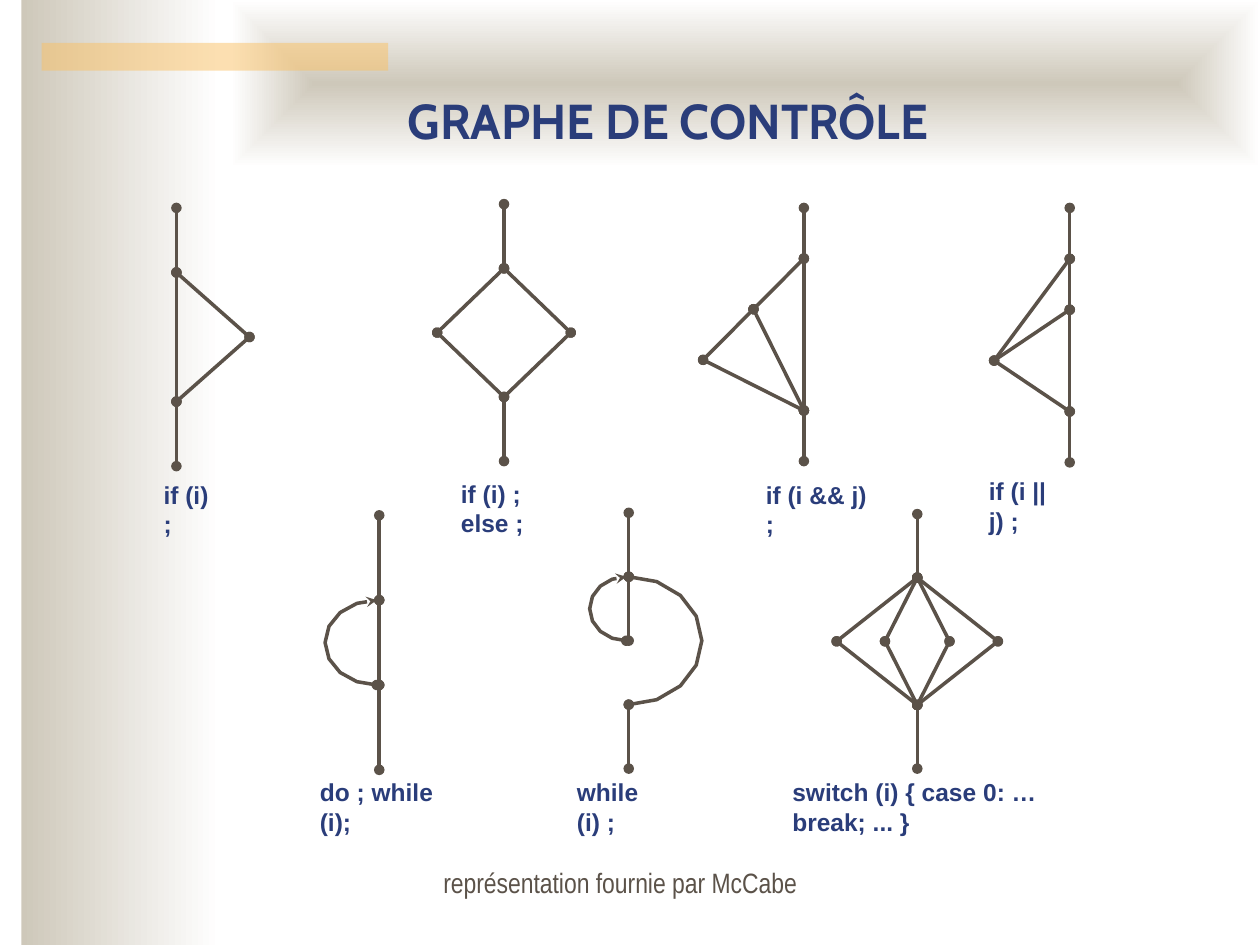
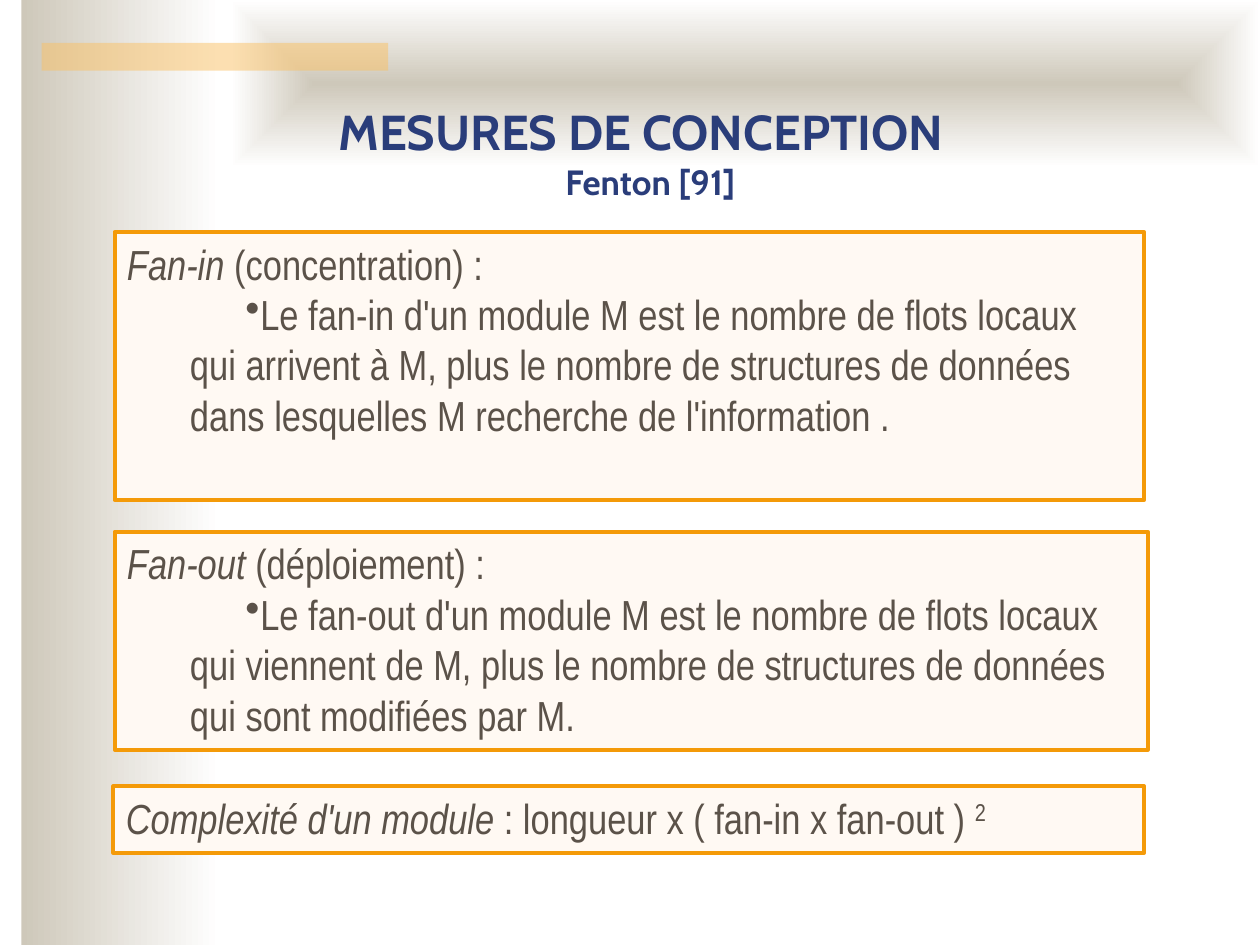
from collections import namedtuple
from dataclasses import dataclass
from math import cos, pi, sin

from lxml import etree
from pptx import Presentation
from pptx.dml.color import RGBColor
from pptx.enum.shapes import MSO_CONNECTOR, MSO_SHAPE
from pptx.enum.text import MSO_ANCHOR, PP_ALIGN
from pptx.oxml.ns import qn
from pptx.util import Inches, Pt

RECT = MSO_SHAPE.RECTANGLE
LINE = MSO_CONNECTOR.STRAIGHT
TOP, MID, LOW = MSO_ANCHOR.TOP, MSO_ANCHOR.MIDDLE, MSO_ANCHOR.BOTTOM
LEFT, MIDDLE = PP_ALIGN.LEFT, PP_ALIGN.CENTER
BARE = 5  # layout with a title only


@dataclass(frozen=True)
class Theme:
    navy: str = "2A3D7A"
    ink: str = "5B5249"
    sand: str = "CEC8BA"
    white: str = "FFFFFF"
    gold: str = "FAC164"
    edge: str = "F49A08"
    cream: str = "FFF9F3"
    head: str = "Cabin"
    body: str = "Arial Narrow"
    code: str = "Arial"
    title: int = 28
    sub: int = 20
    text: int = 24
    note: int = 16
    label: int = 14
    stroke: float = 2
    frame: float = 2.25


T = Theme()
# at: top node; wide: column step; tall: full height; nodes: (column, row)
# arcs: (radius, first row, last row, start end); a negative radius bends left
Graph = namedtuple("Graph", "at wide tall nodes edges arcs label box")

GRAPHS = [
    Graph((1.4, 1.65), 0.58, 2.05,
          dict(a=(0, 0), b=(0, 1), c=(1, 2), d=(0, 3), e=(0, 4)),
          "ab bc cd de bd", [], "if (i) ;", (1.2, 3.76, 0.6)),
    Graph((4, 1.62), 0.53, 2.04,
          dict(a=(0, 0), b=(0, 1), c=(1, 2), d=(-1, 2), e=(0, 3), f=(0, 4)),
          "ab bc bd de ce ef", [], "if (i) ; else ;", (3.56, 3.75, 1.1)),
    Graph((6.38, 1.65), 0.4, 2.01,
          dict(a=(0, 0), b=(0, 1), c=(-1, 2), d=(-2, 3), e=(0, 4), f=(0, 5)),
          "ab bc cd de ef ce be", [], "if (i && j) ;", (5.98, 3.76, 1)),
    Graph((8.49, 1.65), 0.6, 2.02,
          dict(a=(0, 0), b=(0, 1), c=(0, 2), d=(-1, 3), e=(0, 4), f=(0, 5)),
          "ab bc cd bd de ce ef", [], "if (i || j) ;", (7.75, 3.73, 0.8)),
    Graph((3.01, 4.09), 1, 2.02,
          dict(a=(0, 0), b=(0, 1), c=(0, 2), d=(0, 3)),
          "ab bc cd", [(-0.41, 1, 2, "stealth")],
          "do ; while (i);", (2.44, 6.12, 1.25)),
    Graph((4.99, 4.07), 1, 2.03,
          dict(a=(0, 0), b=(0, 1), c=(0, 2), d=(0, 3), e=(0, 4)),
          "ab bc de", [(-0.29, 1, 2, "stealth"), (0.58, 1, 3, "oval")],
          "while (i) ;", (4.48, 6.12, 0.85)),
    Graph((7.28, 4.08), 0.64, 2.02,
          dict(a=(0, 0), b=(0, 1), c=(-1, 2), d=(-0.4, 2), e=(0.4, 2),
               f=(1, 2), g=(0, 3), h=(0, 4)),
          "ab bc bd be bf fg eg dg cg gh", [],
          "switch (i) { case 0: …break; ... }", (6.19, 6.12, 2.3)),
]


def rgb(code):
    return RGBColor.from_string(code)


def inch(*nums):
    return [Inches(n) for n in nums]


def add(node, tag, **attrs):
    return etree.SubElement(node, qn(tag), attrs)


def write(para, text, font=T.body, size=T.text, color=T.ink, bold=False,
          slant=False, raised=False):
    run = para.add_run()
    run.text = text
    face = run.font
    face.name, face.size = font, Pt(size)
    face.bold, face.italic = bold, slant
    face.color.rgb = rgb(color)
    if raised:
        run._r.get_or_add_rPr().set("baseline", "30000")


def block(shapes, box):
    shape = shapes.add_shape(RECT, *inch(*box))
    shape.shadow.inherit = False
    shape.line.fill.background()
    return shape


def label(slide, text, box, wrap=True, **form):
    frame = slide.shapes.add_textbox(*inch(*box)).text_frame
    frame.word_wrap = wrap
    write(frame.paragraphs[0], text, **form)


def title(slide, box, anchor, parts):
    shape = slide.shapes.title
    shape.left, shape.top, shape.width, shape.height = inch(*box)
    frame = shape.text_frame
    frame.vertical_anchor = anchor
    para = frame.paragraphs[0]
    para.alignment = MIDDLE
    for i, (text, size) in enumerate(parts):
        if i:
            para.add_line_break()
        write(para, text, font=T.head, size=size, color=T.navy, bold=True)


# Shared decoration, moved to the slide master
def decor(prs, slide):
    side = block(slide.shapes, (0.17, 0, 1.58, 7.5))
    band = block(slide.shapes, (1.83, 0, 8.17, 1.33))
    bar = block(slide.shapes, (0.33, 0.34, 2.75, 0.22))
    for shape in (side, band):
        shape.fill.gradient()
        shape.fill.gradient_angle = 0
        for stop, color, place in zip(shape.fill.gradient_stops,
                                      (T.sand, T.white), (0, 1)):
            stop.color.rgb = rgb(color)
            stop.position = place
    # The band fades from its centre to all four edges
    lin = band.element.spPr.find(".//" + qn("a:lin"))
    ray = etree.Element(qn("a:path"), path="shape")
    add(ray, "a:fillToRect", l="50000", t="50000", r="50000", b="50000")
    lin.getparent().replace(lin, ray)
    bar.fill.solid()
    bar.fill.fore_color.rgb = rgb(T.gold)
    add(bar.element.spPr.find(".//" + qn("a:srgbClr")), "a:alpha", val="50000")
    tree = prs.slide_master.element.cSld.spTree
    for i, shape in enumerate((side, band, bar)):
        tree.insert(2 + i, shape.element)


# Control graphs
def stroke(shape, start="oval"):
    shape.line.color.rgb = rgb(T.ink)
    shape.line.width = Pt(T.stroke)
    ln = shape.element.spPr.get_or_add_ln()
    add(ln, "a:headEnd", type=start)
    add(ln, "a:tailEnd", type="oval")


def edge(shapes, start, end):
    conn = shapes.add_connector(LINE, *inch(*start, *end))
    stroke(conn)
    add(conn.element.spPr, "a:effectLst")


def arc(shapes, x, top, low, wide, start):
    mid, high = (top + low) / 2, (low - top) / 2
    shift = -0.02 if wide < 0 else 0
    turns = [pi * i / 8 for i in range(9)]
    pts = [inch(x + shift + wide * sin(t), mid - high * cos(t)) for t in turns]
    path = shapes.build_freeform(*pts[0], scale=1.0)
    path.add_line_segments(pts[1:], close=False)
    curve = path.convert_to_shape()
    curve.fill.background()
    curve.shadow.inherit = False
    stroke(curve, start)


def draw(slide, graph):
    x, y = graph.at
    step = graph.tall / max(row for _, row in graph.nodes.values())
    spot = {key: (x + col * graph.wide, y + row * step)
            for key, (col, row) in graph.nodes.items()}
    shapes = slide.shapes.add_group_shape().shapes
    for a, b in graph.edges.split():
        edge(shapes, spot[a], spot[b])
    for wide, top, low, start in graph.arcs:
        arc(shapes, x, y + top * step, y + low * step, wide, start)
    label(slide, graph.label, (*graph.box, 0.33), font=T.code, size=T.label,
          color=T.navy, bold=True)


# Framed definition: a term, its gloss and an optional bullet
def panel(slide, box, term, gloss, point=None, power=None):
    shape = block(slide.shapes, box)
    shape.fill.solid()
    shape.fill.fore_color.rgb = rgb(T.cream)
    shape.line.color.rgb = rgb(T.edge)
    shape.line.width = Pt(T.frame)
    frame = shape.text_frame
    frame.word_wrap = True
    frame.vertical_anchor = TOP
    para = frame.paragraphs[0]
    para.alignment = LEFT
    write(para, term, slant=True)
    write(para, gloss)
    if power:
        write(para, power, raised=True)
    if point:
        para = frame.add_paragraph()
        para.level = 1
        para.alignment = LEFT
        props = para._p.get_or_add_pPr()
        props.set("marL", str(Inches(0.5)))
        props.set("indent", str(Inches(0.44)))
        add(props, "a:buChar", char="•")
        write(para, point)


def graphs(slide):
    title(slide, (1.34, 0.25, 8.01, 1.4), MID,
          [("GRAPHE DE CONTRÔLE ", T.title)])
    label(slide, "représentation fournie par McCabe", (3.42, 6.82, 3.4, 0.37),
          wrap=False, size=T.note)
    for graph in GRAPHS:
        draw(slide, graph)


def metrics(slide):
    title(slide, (0.88, 0.41, 8.5, 1.25), LOW,
          [("MESURES DE CONCEPTION ", T.title), (" Fenton [91]", T.sub)])
    panel(slide, (0.91, 1.84, 8.17, 2.13), "Fan-in", " (concentration) :",
          "Le fan-in d'un module M est le nombre de flots locaux qui arrivent "
          "à M, plus le nombre de structures de données dans lesquelles M "
          "recherche de l'information .")
    panel(slide, (0.91, 4.22, 8.2, 1.73), "Fan-out", " (déploiement) :",
          "Le fan-out d'un module M est le nombre de flots locaux qui "
          "viennent de M, plus le nombre de structures de données qui sont "
          "modifiées par M.")
    panel(slide, (0.9, 6.24, 8.18, 0.53), "Complexité d'un module",
          " : longueur x ( fan-in x fan-out ) ", power="2")


def main():
    prs = Presentation()
    prs.slide_width, prs.slide_height = inch(10, 7.5)
    first, second = (prs.slides.add_slide(prs.slide_layouts[BARE])
                     for _ in range(2))
    decor(prs, first)
    graphs(first)
    metrics(second)
    prs.save("out.pptx")


if __name__ == "__main__":
    main()
